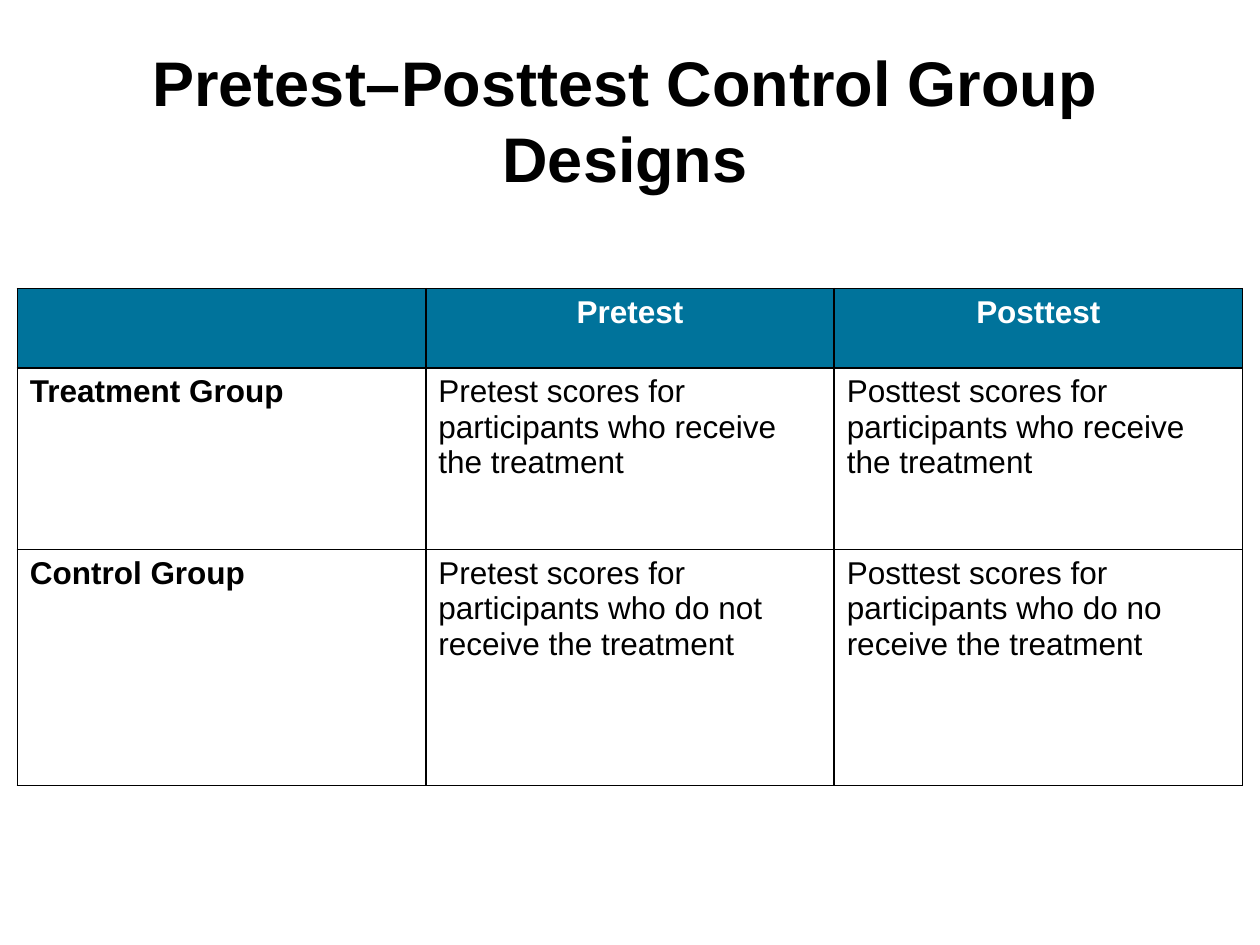
"""Build a slide on pretest–posttest control group designs."""
from lxml import etree
from pptx import Presentation
from pptx.dml.color import RGBColor
from pptx.enum.text import MSO_ANCHOR, PP_ALIGN
from pptx.oxml.ns import qn
from pptx.util import Cm, Pt

CENTER, LEFT = PP_ALIGN.CENTER, PP_ALIGN.LEFT
MIDDLE = MSO_ANCHOR.MIDDLE
BLACK, WHITE, TEAL = "000000", "FFFFFF", "00739B"


def rgb(value):
    return RGBColor.from_string(value)


class Deck:
    font = "Arial"

    def __init__(self, prs):
        self.s = prs.slides.add_slide(prs.slide_layouts[5])

    def set_text(self, tf, text, size, color, bold, align):
        tf.text = text
        for p in tf.paragraphs:
            p.alignment = align
            p.font.size = Pt(size)
            for r in p.runs:
                r.font.name = self.font
                r.font.size = Pt(size)
                r.font.bold = bold
                r.font.color.rgb = rgb(color)

    def title(self, text, left, top, width, height):
        sp = self.s.shapes.title
        sp.left, sp.top, sp.width, sp.height = map(Cm, (left, top, width, height))
        tf = sp.text_frame
        tf.word_wrap = True
        tf.vertical_anchor = MIDDLE
        self.set_text(tf, text, 36, BLACK, True, CENTER)

    def border(self, cell):
        tc_pr = cell._tc.get_or_add_tcPr()
        for i, side in enumerate(("a:lnL", "a:lnR", "a:lnT", "a:lnB")):
            ln = etree.Element(qn(side), w=str(Pt(1)))
            fill = etree.SubElement(ln, qn("a:solidFill"))
            etree.SubElement(fill, qn("a:srgbClr"), val=BLACK)
            tc_pr.insert(i, ln)

    def table(self, rows, left, top, width, heights):
        frame = self.s.shapes.add_table(len(rows), len(rows[0]), Cm(left), Cm(top),
                                        Cm(width), Cm(sum(heights)))
        tbl = frame.table
        for row, height in zip(tbl.rows, heights):
            row.height = Cm(height)
        for i, texts in enumerate(rows):
            head = i == 0
            for j, text in enumerate(texts):
                cell = tbl.cell(i, j)
                cell.fill.solid()
                cell.fill.fore_color.rgb = rgb(TEAL if head else WHITE)
                self.set_text(cell.text_frame, text, 18, WHITE if head else BLACK,
                              head or j == 0, CENTER if head else LEFT)
                self.border(cell)


def main():
    prs = Presentation()
    prs.slide_width, prs.slide_height = Cm(25.4), Cm(19.05)
    deck = Deck(prs)
    deck.title("Pretest–Posttest Control Group Designs", 1.45, 1, 22.3, 2.8)
    deck.table([
        ("", "Pretest", "Posttest"),
        ("Treatment Group",
         "Pretest scores for participants who receive the treatment",
         "Posttest scores for participants who receive the treatment"),
        ("Control Group",
         "Pretest scores for participants who do not receive the treatment",
         "Posttest scores for participants who do no receive the treatment"),
    ], 0.35, 5.82, 24.7, (1.6, 3.66, 4.75))
    prs.save("out.pptx")


if __name__ == "__main__":
    main()
